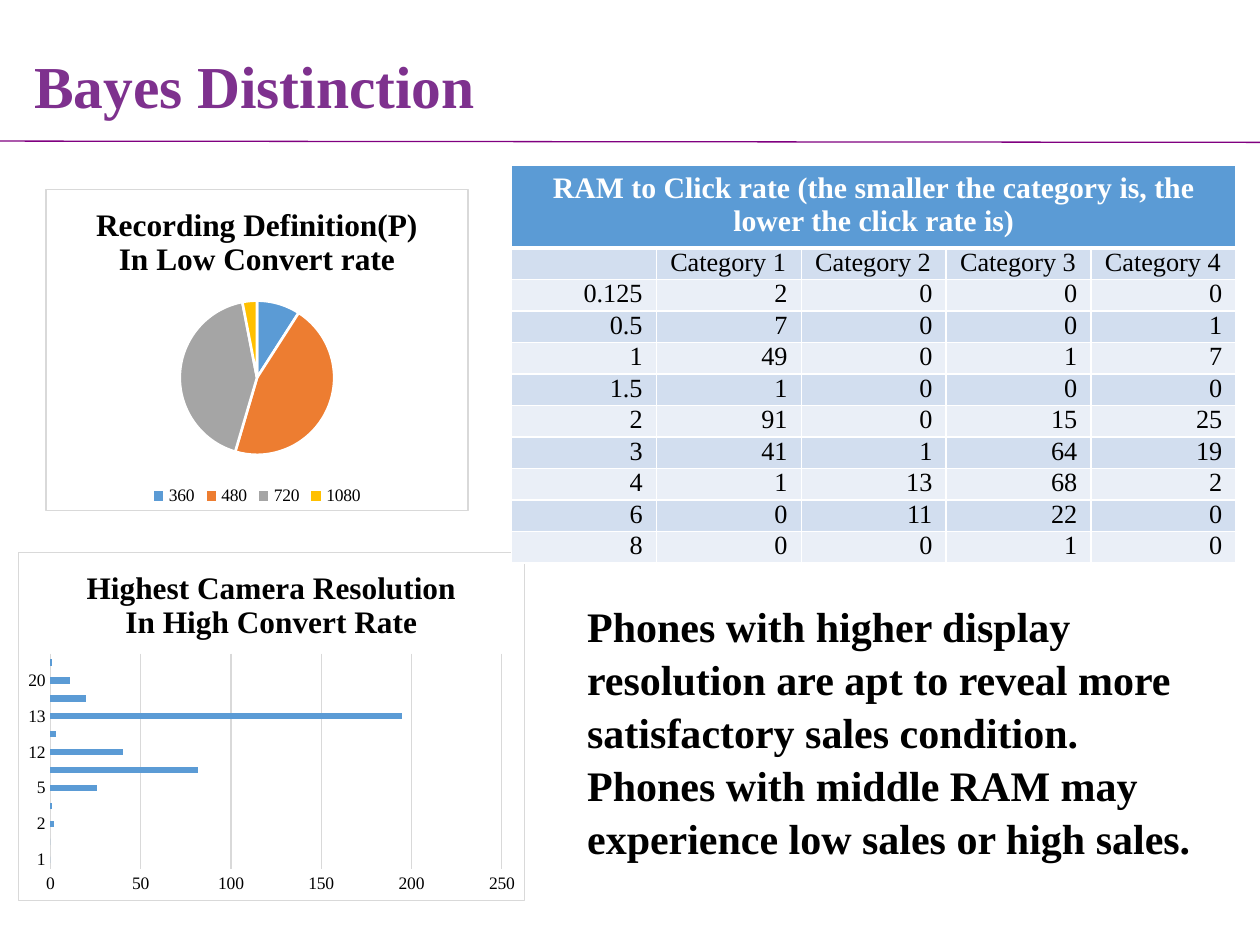
"""Builds the Bayes Distinction slide with two charts, a table and a conclusion."""
from lxml import etree
from pptx import Presentation
from pptx import util as u
from pptx.chart.data import CategoryChartData
from pptx.dml.color import RGBColor
from pptx.enum import chart as ch
from pptx.enum import shapes, text
from pptx.oxml import parse_xml
from pptx.oxml.ns import nsdecls, qn

FONT = "Times New Roman"
COLORS = {
    "title": "7E318E", "rule": "800080", "text": "000000", "white": "FFFFFF",
    "grid": "D9D9D9", "blue": "5B9BD5", "orange": "ED7D31", "gray": "A5A5A5",
    "yellow": "FFC000", "odd": "D2DEEF", "even": "EAEFF7",
}
RAM_ROWS = [
    ["", "Category 1", "Category 2", "Category 3", "Category 4"],
    ["0.125", 2, 0, 0, 0],
    ["0.5", 7, 0, 0, 1],
    ["1", 49, 0, 1, 7],
    ["1.5", 1, 0, 0, 0],
    ["2", 91, 0, 15, 25],
    ["3", 41, 1, 64, 19],
    ["4", 1, 13, 68, 2],
    ["6", 0, 11, 22, 0],
    ["8", 0, 0, 1, 0],
]


def color(name):
    return RGBColor.from_string(COLORS[name])


def inches(*lengths):
    return [u.Inches(length) for length in lengths]


def style_font(font, size, name="text", bold=False):
    font.name, font.size, font.bold = FONT, u.Pt(size), bold
    font.color.rgb = color(name)


def style_line(line, name, width):
    line.color.rgb = color(name)
    line.width = u.Pt(width)


def fill_placeholder(shape, box, lines, size, name, spacing):
    shape.left, shape.top, shape.width, shape.height = inches(*box)
    frame = shape.text_frame
    frame.text = "\n".join(lines)
    frame.word_wrap = True
    frame.auto_size = text.MSO_AUTO_SIZE.NONE
    frame.vertical_anchor = text.MSO_ANCHOR.TOP
    for paragraph in frame.paragraphs:
        paragraph.alignment = text.PP_ALIGN.LEFT
        paragraph.line_spacing = spacing
        paragraph.space_before = u.Pt(0)
        style_font(paragraph.font, size, name, True)
        properties = paragraph._p.get_or_add_pPr()
        properties.set("marL", "0")
        properties.set("indent", "0")
        properties.insert_element_before(
            parse_xml(f"<a:buNone {nsdecls('a')}/>"), "a:tabLst", "a:defRPr")


def add_rule(slide):
    rule = slide.shapes.add_connector(
        shapes.MSO_CONNECTOR.STRAIGHT, *inches(0, 1.12, 10, 1.13))
    style_line(rule.line, "rule", 0.75)
    etree.SubElement(rule._element.spPr, qn("a:effectLst"))


def add_chart(slide, kind, box, title_lines, categories, values):
    data = CategoryChartData()
    data.categories = categories
    data.add_series("Series 1", values)
    chart = slide.shapes.add_chart(kind, *inches(*box), data).chart
    style_font(chart.font, 10)
    chart.has_title = True
    frame = chart.chart_title.text_frame
    frame.text = "\n".join(title_lines)
    for paragraph in frame.paragraphs:
        style_font(paragraph.font, 18, bold=True)
    chart._chartSpace.find(qn("c:chart")).addnext(parse_xml(
        f'<c:spPr {nsdecls("c", "a")}>'
        f'<a:solidFill><a:srgbClr val="{COLORS["white"]}"/></a:solidFill>'
        f'<a:ln w="{u.Pt(0.75)}"><a:solidFill><a:srgbClr val="{COLORS["grid"]}"/>'
        '</a:solidFill></a:ln></c:spPr>'))
    return chart


def add_definition_pie(slide):
    chart = add_chart(
        slide, ch.XL_CHART_TYPE.PIE, (0.36, 1.5, 3.36, 2.56),
        ["Recording Definition(P)", "In Low Convert rate"],
        ["360", "480", "720", "1080"], [9, 45, 42, 3])
    chart.has_legend = True
    chart.legend.position = ch.XL_LEGEND_POSITION.BOTTOM
    chart.legend.include_in_layout = False
    for index, name in enumerate(["blue", "orange", "gray", "yellow"]):
        point = chart.plots[0].series[0].points[index].format
        point.fill.solid()
        point.fill.fore_color.rgb = color(name)
        style_line(point.line, "white", 1.5)


def add_camera_bars(slide):
    chart = add_chart(
        slide, ch.XL_CHART_TYPE.BAR_CLUSTERED, (0.14, 4.38, 4.03, 2.77),
        ["Highest Camera Resolution", "In High Convert Rate"],
        ["1", "1.3", "2", "4", "5", "8", "12", "12.1", "13", "16", "20", "21"],
        [0, 0, 2, 1, 26, 82, 40, 3, 195, 20, 11, 1])
    chart.has_legend = False
    plot = chart.plots[0]
    plot.vary_by_categories = False
    plot.gap_width = 182
    bars = plot.series[0].format.fill
    bars.solid()
    bars.fore_color.rgb = color("blue")
    for axis in (chart.category_axis, chart.value_axis):
        axis.major_tick_mark = axis.minor_tick_mark = ch.XL_TICK_MARK.NONE
    style_line(chart.category_axis.format.line, "grid", 0.75)
    values = chart.value_axis
    values.minimum_scale, values.maximum_scale, values.major_unit = 0, 250, 50
    values.format.line.fill.background()
    style_line(values.major_gridlines.format.line, "grid", 0.75)


def style_cell(cell, content, fill, size, name, alignment, margins, bottom=1):
    cell.fill.solid()
    cell.fill.fore_color.rgb = color(fill)
    cell.margin_left = cell.margin_right = u.Inches(margins[0])
    cell.margin_top = cell.margin_bottom = u.Inches(margins[1])
    cell.text = str(content)
    paragraph = cell.text_frame.paragraphs[0]
    paragraph.alignment = alignment
    style_font(paragraph.font, size, name, name == "white")
    if not content and content != 0:
        etree.SubElement(paragraph._p, qn("a:endParaRPr"), sz=str(size * 100))
    properties = cell._tc.get_or_add_tcPr()
    for index, side in enumerate("LRTB"):
        width = u.Pt(bottom if side == "B" else 1)
        properties.insert(index, parse_xml(
            f'<a:ln{side} {nsdecls("a")} w="{width}"><a:solidFill>'
            f'<a:srgbClr val="{COLORS["white"]}"/></a:solidFill></a:ln{side}>'))


def add_ram_table(slide):
    count = len(RAM_ROWS[0])
    table = slide.shapes.add_table(
        len(RAM_ROWS) + 1, count, *inches(4.06, 1.31, 5.75, 3.19)).table
    for column in table.columns:
        column.width = u.Inches(5.75 / count)
    for index, row in enumerate(table.rows):
        row.height = u.Inches(0.25 if index else 0.66)
    table.cell(0, 0).merge(table.cell(0, count - 1))
    style_cell(
        table.cell(0, 0),
        "RAM to Click rate (the smaller the category is, the lower the click rate is)",
        "blue", 17, "white", text.PP_ALIGN.CENTER, (0.09, 0.05), 3)
    for row, values in enumerate(RAM_ROWS, 1):
        alignment = text.PP_ALIGN.LEFT if row == 1 else text.PP_ALIGN.RIGHT
        for column, value in enumerate(values):
            style_cell(table.cell(row, column), value, "odd" if row % 2 else "even",
                       15, "text", alignment, (0.11, 0))


def main():
    presentation = Presentation()
    presentation.slide_width, presentation.slide_height = inches(10, 7.5)
    slide = presentation.slides.add_slide(presentation.slide_layouts[1])
    title, body = slide.placeholders
    fill_placeholder(title, (0.17, 0.02, 6.79, 0.86), ["Bayes Distinction"],
                     34, "title", 1.57)
    fill_placeholder(body, (4.56, 4.7, 5.29, 2.12), [
        "Phones with higher display resolution are apt to reveal more "
        "satisfactory sales condition.",
        "Phones with middle RAM may experience low sales or high sales.",
    ], 24, "text", 1.05)
    add_rule(slide)
    add_definition_pie(slide)
    add_camera_bars(slide)
    add_ram_table(slide)
    presentation.save("out.pptx")


if __name__ == "__main__":
    main()
